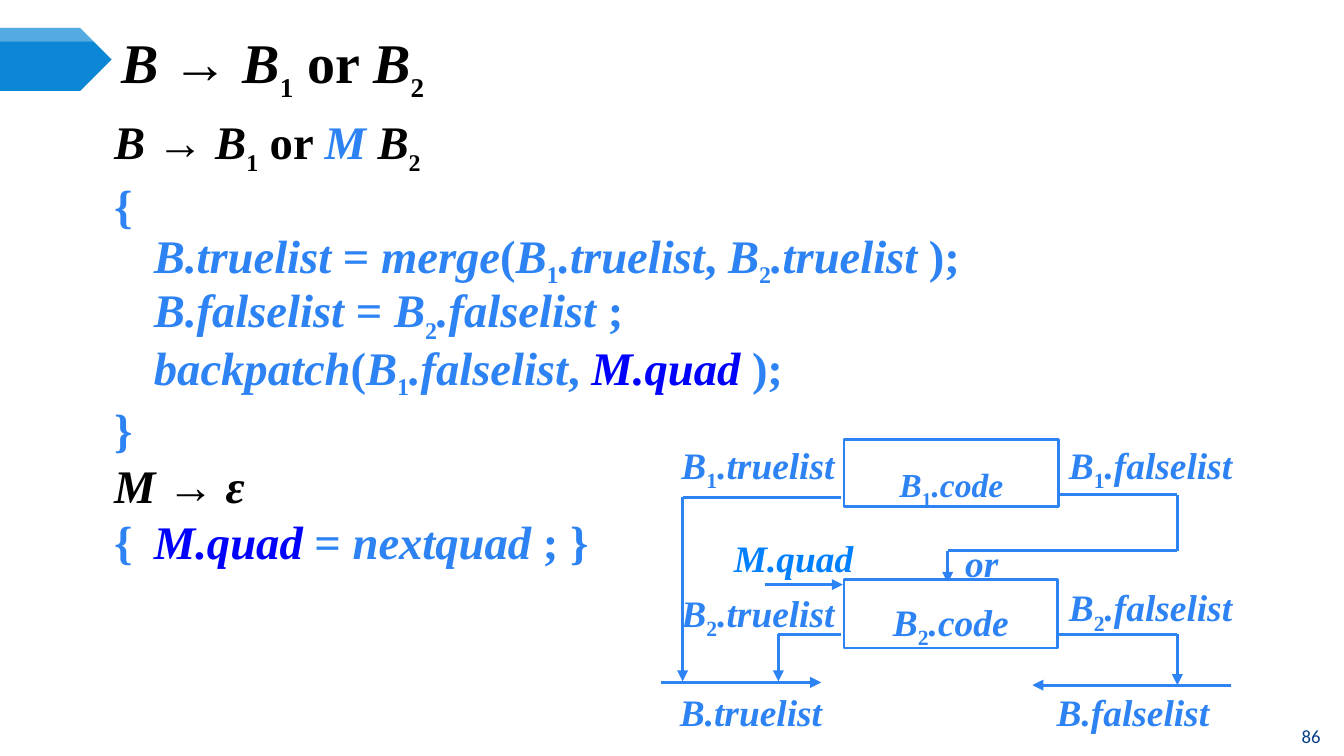
from itertools import groupby

from lxml import etree
from pptx import Presentation
from pptx.dml.color import RGBColor
from pptx.enum.shapes import MSO_CONNECTOR, MSO_SHAPE
from pptx.enum.text import MSO_ANCHOR, PP_ALIGN
from pptx.oxml.ns import qn
from pptx.util import Cm, Pt

STRAIGHT = MSO_CONNECTOR.STRAIGHT
PLATE, RECT = MSO_SHAPE.PENTAGON, MSO_SHAPE.RECTANGLE
TOP, MIDDLE = MSO_ANCHOR.TOP, MSO_ANCHOR.MIDDLE
LEFT, CENTER, JUSTIFY = PP_ALIGN.LEFT, PP_ALIGN.CENTER, PP_ALIGN.JUSTIFY

HEX = {"black": "000000", "white": "FFFFFF", "blue": "2D83F4", "deep": "0000FF",
       "sky": "0080FF", "plate": "0B87D6", "navy": "073E87"}
FRAME = {"word_wrap": True, "margin_left": Cm(0.18), "margin_right": Cm(0.18),
         "margin_top": Cm(0.1), "margin_bottom": Cm(0.1)}


def color(name):
    return RGBColor.from_string(HEX[name])


def runs(text):
    """Split marked text: * toggles italic, ~ toggles accent, _ lowers one sign."""
    signs, italic, accent, low = [], False, False, False
    for sign in text:
        if sign == "*":
            italic = not italic
        elif sign == "~":
            accent = not accent
        elif sign == "_":
            low = True
        else:
            signs.append((sign, (italic and not low, accent, low)))
            low = False
    for style, group in groupby(signs, key=lambda item: item[1]):
        yield "".join(sign for sign, _ in group), style


class Painter:
    def __init__(self, slide, font="Times New Roman"):
        self.slide, self.font = slide, font

    def words(self, par, text, size, base="blue", accent="blue", small=None,
              drop=-25, bold=True, font=None):
        for part, (italic, hot, low) in runs(text):
            run = par.add_run()
            run.text = part
            style = {"name": font or self.font, "bold": bold, "italic": italic,
                     "size": Pt(small if low and small else size)}
            for key, value in style.items():
                setattr(run.font, key, value)
            run.font.color.rgb = color(accent if hot else base)
            if low:
                run.font._element.set("baseline", str(drop * 1000))

    def frame(self, shape, anchor=TOP):
        for key, value in FRAME.items():
            setattr(shape.text_frame, key, value)
        shape.text_frame.vertical_anchor = anchor
        return shape.text_frame

    def label(self, x, y, w, h, text, size=20, anchor=TOP, align=LEFT, **style):
        box = self.slide.shapes.add_textbox(Cm(x), Cm(y), Cm(w), Cm(h))
        par = self.frame(box, anchor).paragraphs[0]
        par.alignment = align
        self.words(par, text, size, **style)

    def body(self, x, y, w, h, lines, size):
        box = self.slide.shapes.add_textbox(Cm(x), Cm(y), Cm(w), Cm(h))
        frame = self.frame(box)
        for i, (text, base, accent, drop) in enumerate(lines):
            par = frame.add_paragraph() if i else frame.paragraphs[0]
            par.alignment, par.line_spacing = JUSTIFY, Pt(30)
            props = par._p.get_or_add_pPr()
            props.set("marL", str(Cm(0.75)))
            props.set("indent", str(-Cm(0.75)))
            self.words(par, text, size, base, accent, 22, drop)

    def paint(self, shape, fill, line=None):
        shape.shadow.inherit = False
        shape.fill.solid()
        shape.fill.fore_color.rgb = color(fill)
        if line:
            shape.line.color.rgb, shape.line.width = color(line), Pt(1.5)
        else:
            shape.line.fill.background()
        return shape

    def shape(self, kind, x, y, w, h, fill, line=None):
        shape = self.slide.shapes.add_shape(kind, Cm(x), Cm(y), Cm(w), Cm(h))
        return self.paint(shape, fill, line)

    def code(self, x, y, w, h, text, size):
        box = self.shape(RECT, x, y, w, h, "white", "blue")
        par = self.frame(box).paragraphs[0]
        par.alignment, par.line_spacing = CENTER, Pt(35)
        self.words(par, text, size)

    def gloss(self, points, alpha):
        start, *rest = [(Cm(x), Cm(y)) for x, y in points]
        maker = self.slide.shapes.build_freeform(*start)
        maker.add_line_segments(rest, close=True)
        shape = self.paint(maker.convert_to_shape(), "white")
        tint = shape._element.spPr.find(".//" + qn("a:srgbClr"))
        etree.SubElement(tint, qn("a:alpha")).set("val", str(alpha * 1000))

    def line(self, start, end, arrow=False):
        ends = [Cm(v) for v in (*start, *end)]
        wire = self.slide.shapes.add_connector(STRAIGHT, *ends)
        wire.line.color.rgb, wire.line.width = color("blue"), Pt(1.5)
        if arrow:
            tip = etree.SubElement(wire.line._get_or_add_ln(), qn("a:tailEnd"))
            tip.set("type", "triangle")
        etree.SubElement(wire._element.spPr, qn("a:effectLst"))

    def route(self, *points):
        last = len(points) - 2
        for i, (start, end) in enumerate(zip(points, points[1:])):
            self.line(start, end, i == last)


def main():
    deck = Presentation()
    deck.slide_width, deck.slide_height = Cm(25.4), Cm(14.29)
    art = Painter(deck.slides.add_slide(deck.slide_layouts[6]))

    # Title marker
    art.shape(PLATE, 0, 0.53, 2.11, 1.19, "plate")
    art.gloss([(0, 0.53), (1.52, 0.53), (1.78, 0.79), (0, 0.79)], 30)

    # Translation scheme
    art.body(1.98, 2.18, 17.65, 8.97, [
        ("*B *→ *B*_1 or ~*M*~* B*_2", "black", "blue", -30),
        ("{", "blue", "deep", -25),
        ("\t*B.truelist *= *merge*(*B_1.truelist*, *B_2.truelist* );",
         "blue", "deep", -25),
        ("\t*B.falselist* = *B_2.falselist *;", "blue", "deep", -30),
        ("\t*backpatch*(*B_1.falselist*, ~*M.quad *~);", "blue", "deep", -25),
        ("}", "blue", "deep", -25),
        ("*M *→ *ε*", "black", "blue", -25),
        ("{\t~*M.quad *~= *nextquad *; }", "blue", "deep", -25),
    ], 25)

    # Title
    art.label(2.11, 0.74, 22.02, 0.99, "*B *→ *B*_1 or *B*_2", 30, MIDDLE,
              base="black", small=25, drop=-30)

    # Jump routes
    art.route((14.45, 11.05), (15.93, 11.05))
    art.route((12.5, 12.9), (15.52, 12.9))
    art.route((23.27, 12.95), (19.51, 12.95))
    art.route((19.71, 9.35), (22.25, 9.35), (22.25, 10.41), (17.91, 10.41),
              (17.91, 11.02))
    art.route((15.9, 9.4), (12.9, 9.4), (12.9, 12.88))
    art.route((15.9, 11.99), (14.71, 11.99), (14.71, 12.88))
    art.route((19.71, 11.99), (22.25, 11.99), (22.25, 12.95))

    # List labels
    for x, y, w, text in [
        (12.7, 8.26, 3.73, "B_1.truelist"), (20.02, 8.26, 3.61, "B_1.falselist"),
        (12.7, 11.05, 4.19, "B_2.truelist"), (20.02, 10.95, 3.61, "B_2.falselist"),
        (12.67, 12.93, 3.23, "B.truelist"), (19.79, 12.93, 3.3, "B.falselist"),
        (18.06, 10.11, 1.57, "or"),
    ]:
        art.label(x, y, w, 1.04, f"*{text}*")
    art.label(13.69, 10.01, 2.69, 1.04, "*M.quad*", base="sky")

    # Code blocks
    art.code(15.95, 8.31, 4.06, 1.27, "*B_1.code*", 18)
    art.code(15.95, 10.95, 4.04, 1.3, "*B_2.code*", 20)

    # Page number
    art.label(24.21, 13.54, 1.14, 0.76, "86", 10, MIDDLE, CENTER,
              base="navy", bold=False, font="Calibri")

    deck.save("out.pptx")


if __name__ == "__main__":
    main()
